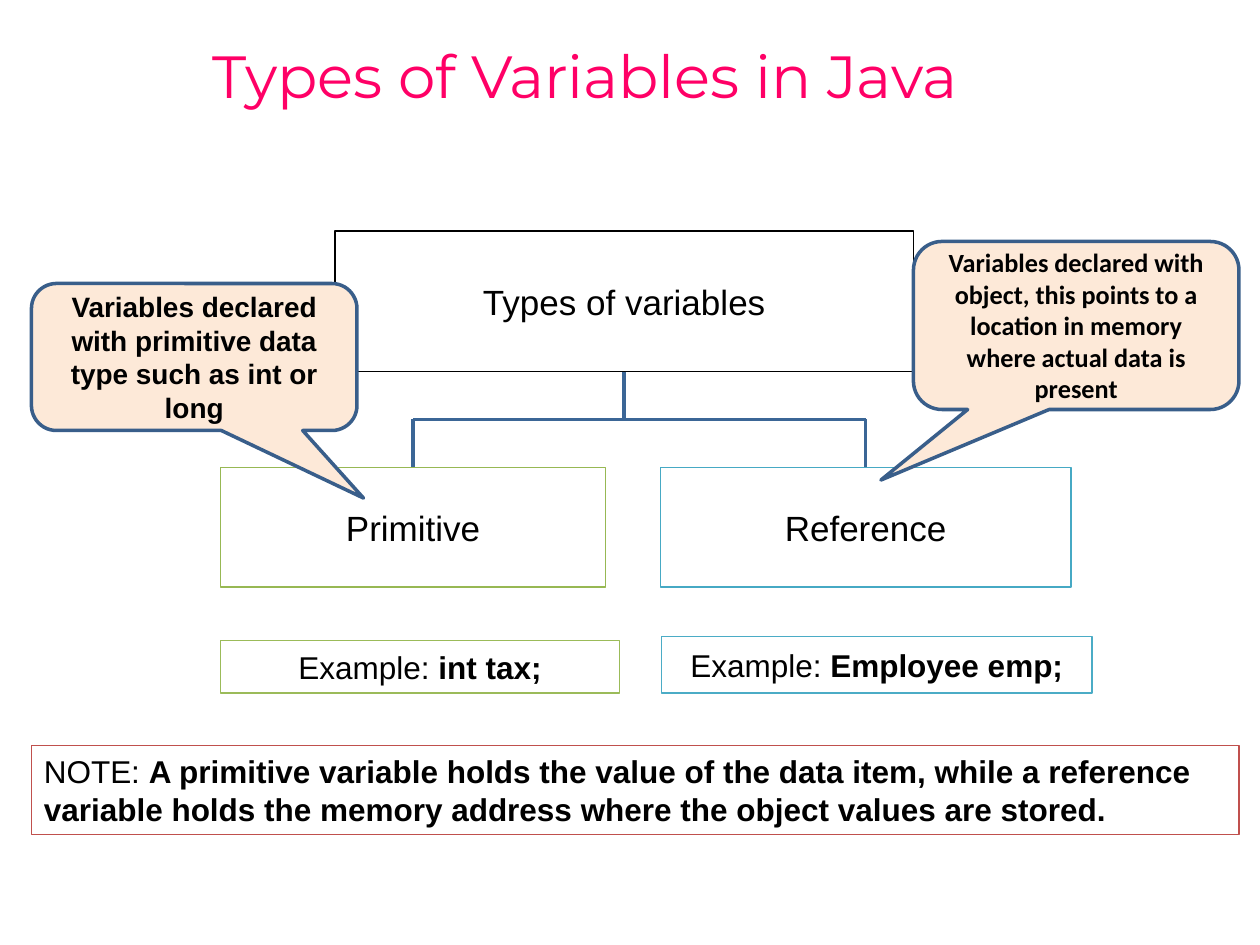
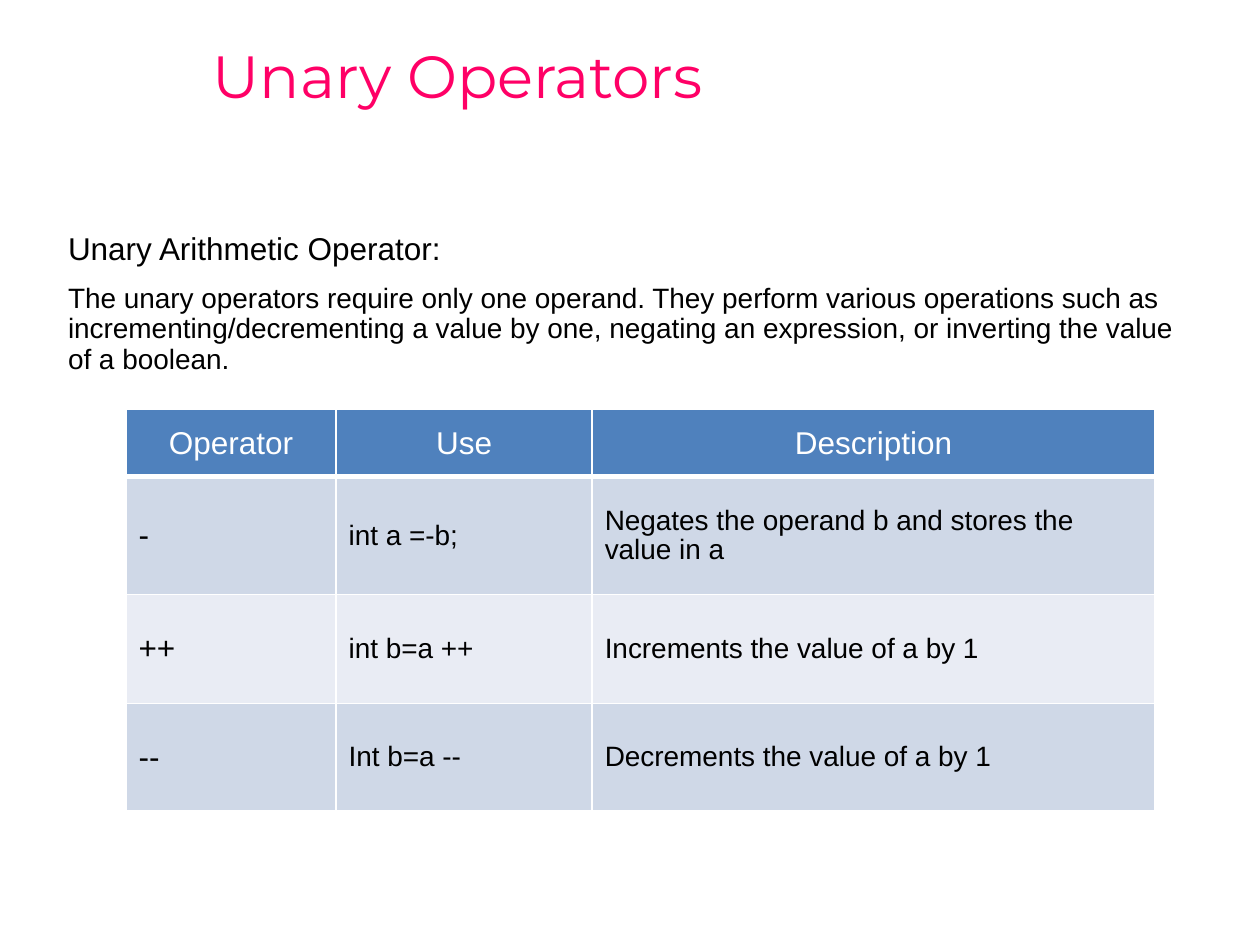
from itertools import product

from lxml.etree import SubElement
from pptx import Presentation
from pptx.dml.color import RGBColor
from pptx.enum.shapes import MSO_CONNECTOR, MSO_SHAPE
from pptx.enum.text import MSO_ANCHOR, PP_ALIGN
from pptx.oxml.ns import qn
from pptx.util import Inches, Pt

# Style: a grid of 120 columns by 90 rows, 12 to the inch
COLS, ROWS = 120, 90
INK = {
    "title": "FF0066", "text": "000000", "white": "FFFFFF",
    "wire": "3B6696", "note": "C0504D", "cloud": "FDE9D8", "rim": "395E8A",
    "green": "97B853", "leaf": "9BBB59", "teal": "46A9C4", "aqua": "4BACC6",
    "head": "4F81BD", "odd": "CFD8E7", "even": "E9ECF4",
}
LEFT, MID = PP_ALIGN.LEFT, PP_ALIGN.CENTER


def ink(name):
    return RGBColor.from_string(INK[name])


class Deck:
    def __init__(self):
        self.show = Presentation()
        self.show.slide_width = Inches(10)
        self.show.slide_height = Inches(7.5)
        self.slide = None

    def x(self, col):
        return round(self.show.slide_width * col / COLS)

    def y(self, row):
        return round(self.show.slide_height * row / ROWS)

    def place(self, col, row, wide, high):
        return self.x(col), self.y(row), self.x(wide), self.y(high)

    def page(self, title):
        self.slide = self.show.slides.add_slide(self.show.slide_layouts[6])
        frame = self.text((19.1, 0.1, 100.9, 14.9), MSO_ANCHOR.MIDDLE)
        self.label(frame.paragraphs[0], title, 34, "title",
                   face="Montserrat", lead=0.9)

    def label(self, para, words, size, color="text", align=LEFT,
              face="Arial", bold=None, lead=None):
        """Words may hold a plain part and a bold part."""
        parts = [words] if isinstance(words, str) else words
        for index, part in enumerate(parts):
            run = para.add_run()
            run.text = part
            if index:
                run.font.bold = True
        para.alignment = align
        para.line_spacing = lead
        para.font.name, para.font.size = face, Pt(size)
        para.font.bold = bold
        para.font.color.rgb = ink(color)

    def text(self, area, anchor=MSO_ANCHOR.TOP):
        frame = self.slide.shapes.add_textbox(*self.place(*area)).text_frame
        frame.word_wrap = True
        frame.vertical_anchor = anchor
        return frame

    def box(self, area, words, size, line, fill="white", width=0.75,
            kind=MSO_SHAPE.RECTANGLE, align=MID, **style):
        shape = self.slide.shapes.add_shape(kind, *self.place(*area))
        shape.shadow.inherit = False
        shape.fill.solid()
        shape.fill.fore_color.rgb = ink(fill)
        shape.line.color.rgb = ink(line)
        shape.line.width = Pt(width)
        frame = shape.text_frame
        frame.word_wrap = True
        frame.vertical_anchor = MSO_ANCHOR.MIDDLE
        self.label(frame.paragraphs[0], words, size, align=align, **style)
        return shape

    def bubble(self, area, words, size, tip, **style):
        shape = self.box(area, words, size, "rim", "cloud", 2,
                         MSO_SHAPE.ROUNDED_RECTANGULAR_CALLOUT,
                         bold=True, **style)
        for index, value in enumerate((*tip, 0.17)):
            shape.adjustments[index] = value

    def wire(self, start, end):
        line = self.slide.shapes.add_connector(
            MSO_CONNECTOR.STRAIGHT, *start, *end)
        line.line.color.rgb = ink("wire")
        line.line.width = Pt(2)
        SubElement(line._element.spPr, qn("a:effectLst"))
        return line

    def tree(self, root, kids):
        def centre(shape):
            return shape.left + shape.width // 2

        base = root.top + root.height
        bar = (base + kids[0].top) // 2
        stem = centre(root)
        self.wire((stem, base), (stem, bar)).begin_connect(root, 2)
        self.wire((centre(kids[0]), bar), (centre(kids[-1]), bar))
        for kid in kids:
            spot = centre(kid)
            self.wire((spot, bar), (spot, kid.top)).end_connect(kid, 0)

    def edge(self, cell, side, width):
        line = SubElement(cell._tc.get_or_add_tcPr(), qn("a:ln" + side),
                          w=str(Pt(width)))
        fill = SubElement(line, qn("a:solidFill"))
        SubElement(fill, qn("a:srgbClr"), val=INK["white"])

    def table(self, spot, wide, high, data):
        area = self.place(*spot, sum(wide), sum(high))
        table = self.slide.shapes.add_table(len(high), len(wide), *area).table
        table.first_row = table.horz_banding = False
        for col, width in zip(table.columns, wide):
            col.width = self.x(width)
        for row, height in zip(table.rows, high):
            row.height = self.y(height)
        for r, c in product(range(len(high)), range(len(wide))):
            cell = table.cell(r, c)
            thick = {0: "B", 1: "T"}.get(r)
            for side in "LRTB":
                self.edge(cell, side, 2.95 if side == thick else 0.91)
            cell.fill.solid()
            cell.fill.fore_color.rgb = ink(
                "head" if r == 0 else "odd" if r % 2 else "even")
            cell.vertical_anchor = MSO_ANCHOR.MIDDLE
            cell.margin_top = Inches(0.07)
            self.label(cell.text_frame.paragraphs[0], data[r][c],
                       16 if r and c else 18, "text" if r else "white",
                       LEFT if r else MID, lead=0.93)


def types(deck):
    deck.page("Types of Variables in Java")
    # Tree of types
    root = deck.box((31.9, 22, 55.1, 13.4), "Types of variables", 20, "text")
    kids = [
        deck.box((21, 44.5, 36.7, 11.4), "Primitive", 20, "green"),
        deck.box((62.9, 44.5, 39.1, 11.4), "Reference", 20, "teal"),
    ]
    deck.tree(root, kids)
    # Examples and note
    deck.box((21, 61, 38, 5), ("Example: ", "int tax;"), 18, "leaf")
    deck.box((63, 60.6, 41, 5.4), ("Example: ", "Employee emp;"), 18, "aqua")
    deck.box((3, 71, 115, 8.5), (
        "NOTE: ",
        "A primitive variable holds the value of the data item, while a "
        "reference variable holds the memory address where the object "
        "values are stored."), 18, "note", align=LEFT)
    # Callouts
    deck.bubble((3, 27, 31, 14),
                "Variables declared with primitive data type such as int "
                "or long", 16, (0.52, 0.96))
    deck.bubble((87, 23, 31, 16),
                "Variables declared with object, this points to a location "
                "in memory where actual data is present", 15, (-0.6, 0.92),
                face="Calibri")


def unary(deck):
    deck.page("Unary Operators")
    # Introduction
    frame = deck.text((5.3, 21.6, 108.7, 14))
    deck.label(frame.paragraphs[0], "Unary Arithmetic Operator:", 18, lead=0.9)
    para = frame.add_paragraph()
    deck.label(para, "The unary operators require only one operand. They "
               "perform various operations such as incrementing/decrementing "
               "a value by one, negating an expression, or inverting the "
               "value of a boolean.", 16, lead=0.9)
    para.space_before = Pt(10)
    # Operators
    deck.table((12, 39), (20, 24.4, 53.6), (6.4, 11.2, 10.4, 10.2), (
        ("Operator", "Use", "Description"),
        ("-", "int a =-b;", "Negates the operand b and stores the value in a"),
        ("++", "int b=a ++", "Increments the value of a by 1"),
        ("--", "Int b=a --", "Decrements the value of a by 1"),
    ))


def main():
    deck = Deck()
    types(deck)
    unary(deck)
    deck.show.save("out.pptx")


if __name__ == "__main__":
    main()
